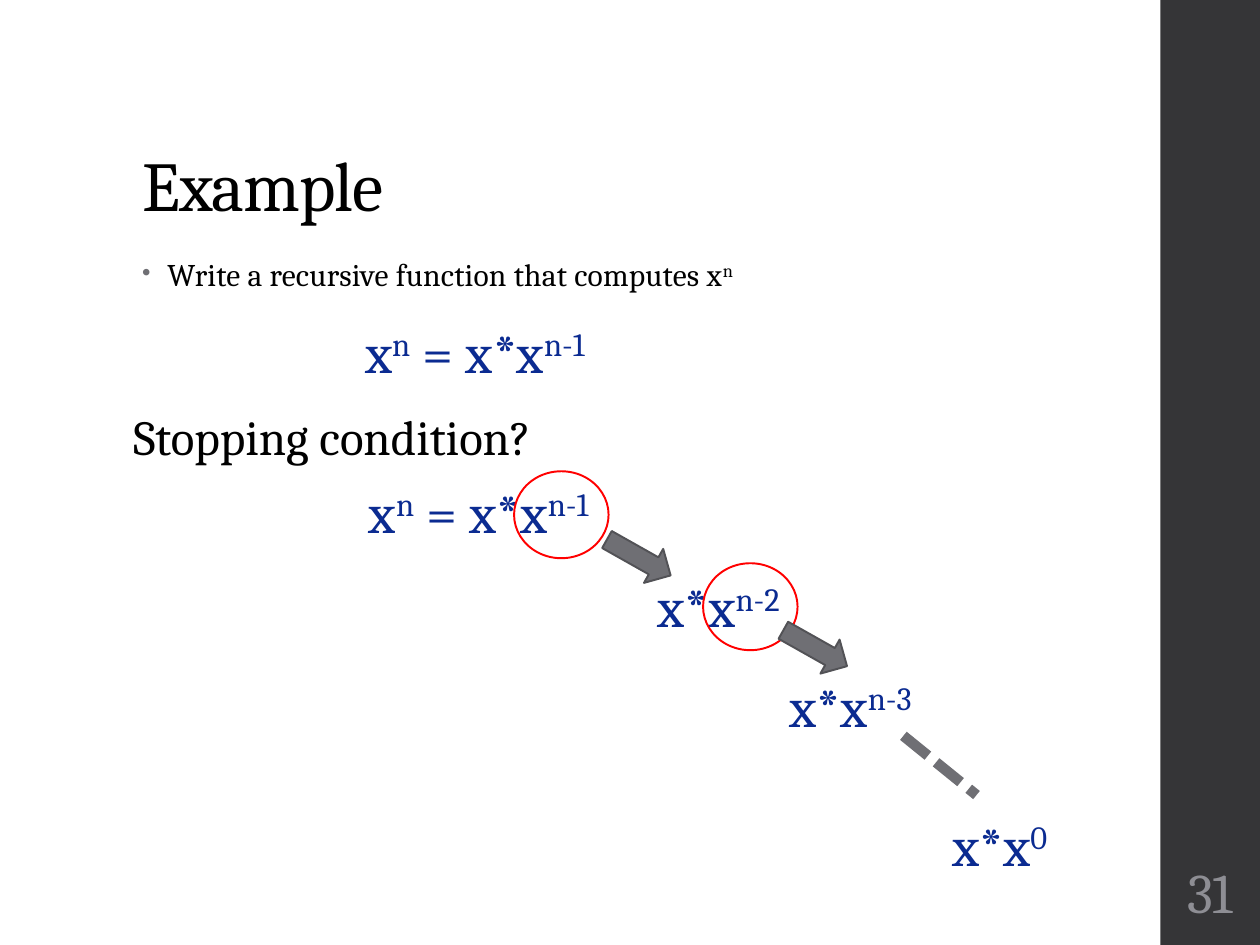
from lxml import etree
from pptx import Presentation
from pptx.dml.color import RGBColor
from pptx.enum.dml import MSO_LINE
from pptx.enum.shapes import MSO_CONNECTOR, MSO_SHAPE
from pptx.enum.text import MSO_ANCHOR, MSO_AUTO_SIZE, PP_ALIGN
from pptx.oxml.ns import qn
from pptx.util import Inches, Pt

OVAL, ARROW, BAR = MSO_SHAPE.OVAL, MSO_SHAPE.RIGHT_ARROW, MSO_SHAPE.RECTANGLE
LEFT, CENTER = PP_ALIGN.LEFT, PP_ALIGN.CENTER
BOTTOM, MIDDLE = MSO_ANCHOR.BOTTOM, MSO_ANCHOR.MIDDLE
STRAIGHT, SQUARE_DOT = MSO_CONNECTOR.STRAIGHT, MSO_LINE.SQUARE_DOT
FONT = "Cambria"
BLACK, BLUE, RED, GRAY = "000000", "0B2B91", "FF0000", "6F6F74"
rgb = RGBColor.from_string

presentation = Presentation()
presentation.slide_width, presentation.slide_height = Inches(10), Inches(7.5)
slide = presentation.slides.add_slide(presentation.slide_layouts[5])
shapes = slide.shapes


def cells(*counts):
    """Turn counts on a grid of 100 columns by 75 rows into lengths."""
    return [round(count * presentation.slide_width / 100) for count in counts]


def write(shape, text, size, color, spacing=0):
    """Fill a shape with one paragraph; every second part between ^ is raised."""
    frame = shape.text_frame
    frame.word_wrap = True
    frame.auto_size = MSO_AUTO_SIZE.NONE
    paragraph = frame.paragraphs[0]
    paragraph.alignment = LEFT
    for index, part in enumerate(text.split("^")):
        run = paragraph.add_run()
        run.text = part
        properties = run._r.get_or_add_rPr()
        if index % 2:
            properties.set("baseline", "30000")
        if spacing:
            properties.set("spc", str(spacing))
    paragraph.font.name = FONT
    paragraph.font.size = Pt(size)
    paragraph.font.color.rgb = rgb(color)
    return paragraph


# Side bar with the slide number
bar = shapes.add_shape(BAR, *cells(92.1, 0, 7.9, 75))
bar.shadow.inherit = False
bar.fill.solid()
bar.fill.fore_color.rgb = rgb("353537")
bar.line.fill.background()

number = shapes.add_textbox(*cells(92.3, 67.5, 7.5, 6.5))
number.text_frame.margin_left = number.text_frame.margin_right = Inches(0.03)
number.text_frame.vertical_anchor = MIDDLE
write(number, "31", 32, "8E8E94").alignment = CENTER

# Title and task
title = shapes.title
title.left, title.top, title.width, title.height = cells(10.3, 4, 79.5, 14.5)
title.text_frame.vertical_anchor = BOTTOM
write(title, "Example", 40, BLACK, -50).line_spacing = 0.9

task = shapes.add_textbox(*cells(10.3, 20, 70.5, 5))
task_paragraph = write(task, "Write a recursive function that computes x^n", 18, BLACK, 10)
task_paragraph.line_spacing = 0.95
properties = task_paragraph._p.get_or_add_pPr()
properties.set("marL", str(Inches(0.2)))
properties.set("indent", str(-Inches(0.2)))
bullet_color = etree.Element(qn("a:buClr"))
etree.SubElement(bullet_color, qn("a:srgbClr"), val=GRAY)
bullet_size = etree.Element(qn("a:buSzPct"), val="80000")
bullet = etree.Element(qn("a:buChar"), char="•")
for element in (bullet_color, bullet_size, bullet):
    properties.find(qn("a:defRPr")).addprevious(element)

question = shapes.add_textbox(*cells(9.6, 31.8, 35, 5.7))
write(question, "Stopping condition?", 28, BLACK)

# Formulas, unfolding down to the right
for left, top, width, formula in (
    (28, 24.7, 35, "x^n^ = x*x^n-1"),
    (28.3, 37.4, 24.2, "x^n^ = x*x^n-1"),
    (51.2, 44.9, 24.2, "x*x^n-2"),
    (61.7, 52.8, 17.5, "x*x^n-3"),
    (74.6, 63.8, 17.5, "x*x^0"),
):
    write(shapes.add_textbox(*cells(left, top, width, 6.4)), formula, 32, BLUE)

# Each circled power leads to its expansion
for left, top in ((40.8, 37.4), (55.8, 44.7)):
    circle = shapes.add_shape(OVAL, *cells(left, top, 7.5, 6.9))
    circle.fill.background()
    circle.line.color.rgb = rgb(RED)
for left, top in ((47.8, 42.7), (61.8, 49.9)):
    arrow = shapes.add_shape(ARROW, *cells(left, top, 5.8, 3.1))
    arrow.rotation = 29.4
    arrow.fill.solid()
    arrow.fill.fore_color.rgb = rgb(GRAY)
    arrow.line.color.rgb = rgb("525256")
for shape in shapes:
    if shape.name.startswith(("Oval", "Right Arrow")):
        shape.shadow.inherit = False
        shape.line.width = Pt(1.1)

dots = shapes.add_connector(STRAIGHT, *cells(71.7, 58.4, 77.5, 63.1))
dots.line.color.rgb = rgb(GRAY)
dots.line.width = Pt(6)
dots.line.dash_style = SQUARE_DOT
etree.SubElement(dots._element.spPr, qn("a:effectLst"))

presentation.save("out.pptx")
